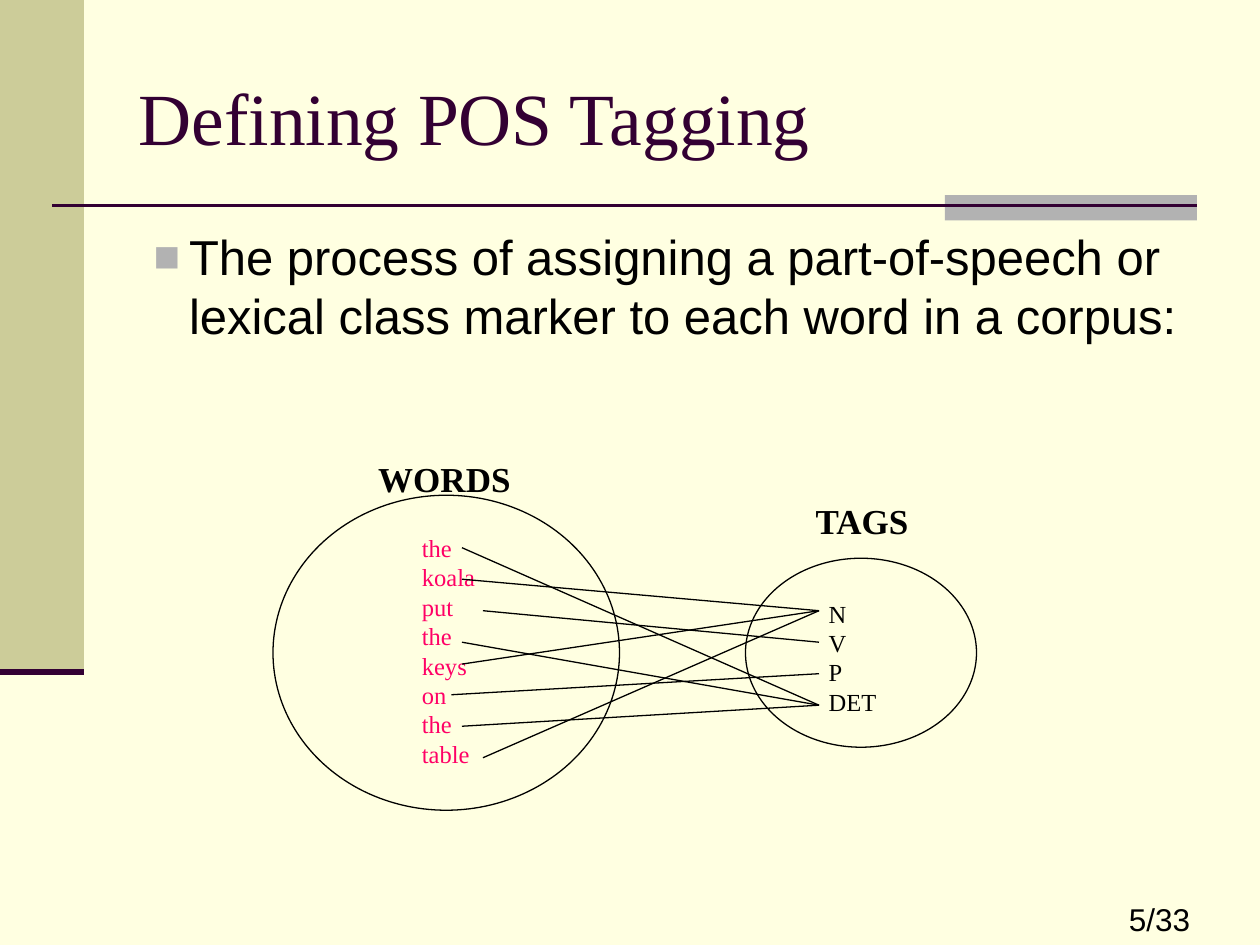
from lxml import etree
from pptx import Presentation
from pptx.dml.color import RGBColor
from pptx.enum.shapes import MSO_CONNECTOR, MSO_SHAPE
from pptx.enum.text import MSO_ANCHOR, MSO_AUTO_SIZE, PP_ALIGN
from pptx.oxml.ns import qn
from pptx.util import Pt

SERIF, SANS = "Times New Roman", "Arial"
PLUM, BLACK, GRAY, PINK = "330033", "000000", "B2B2B2", "FF0066"

# Each word with its tag, and the left end and height of its line
WORDS = [
    ("the", "DET", 108, 55),
    ("koala", "N", 108, 73),
    ("put", "V", 120, 91),
    ("the", "DET", 108, 109),
    ("keys", "N", 108, 121.5),
    ("on", "P", 102, 139),
    ("the", "DET", 108, 157),
    ("table", "N", 120, 175),
]
TAGS = ["N", "V", "P", "DET"]


def color(hex_string):
    return RGBColor.from_string(hex_string)


def place(shape, left, top, width, height):
    shape.left, shape.top = Pt(left), Pt(top)
    shape.width, shape.height = Pt(width), Pt(height)


def style_text(frame, font, size, ink, bold=False):
    for paragraph in frame.paragraphs:
        paragraph.alignment = PP_ALIGN.LEFT
        for run in paragraph.runs:
            run.font.name, run.font.size, run.font.bold = font, Pt(size), bold
            run.font.color.rgb = color(ink)


def add_label(slide, box, text, font, size, ink, bold=False, wrap=False):
    frame = slide.shapes.add_textbox(*map(Pt, box)).text_frame
    frame.word_wrap = wrap
    frame.text = text
    style_text(frame, font, size, ink, bold)


def add_shape(slide, kind, box, fill=None, line=None):
    shape = slide.shapes.add_shape(kind, *map(Pt, box))
    shape.shadow.inherit = False
    if fill:
        shape.fill.solid()
        shape.fill.fore_color.rgb = color(fill)
    else:
        shape.fill.background()
    if line:
        shape.line.color.rgb = color(line)
        shape.line.width = Pt(0.75)
    else:
        shape.line.fill.background()


def add_line(slide, start, end, ink, width):
    line = slide.shapes.add_connector(
        MSO_CONNECTOR.STRAIGHT, *map(Pt, (*start, *end)))
    line.line.color.rgb = color(ink)
    line.line.width = Pt(width)
    etree.SubElement(line._element.spPr, qn("a:effectLst"))


def add_frame(slide, width, height):
    """Side band, title rule with its accent, and page number."""
    band_width, band_height = 48, 384
    add_shape(slide, MSO_SHAPE.RECTANGLE, (0, 0, band_width, band_height), "CCCC99")
    add_shape(slide, MSO_SHAPE.RECTANGLE, (width - 180, 111.5, 144, 14.5), GRAY)
    add_line(slide, (30, 117.5), (width - 36, 117.5), PLUM, 1.5)
    add_line(slide, (0, band_height), (band_width, band_height), PLUM, 3.5)
    add_label(slide, (width - 82, height - 29, 82, 29), "5/33",
              SANS, 18, BLACK, wrap=True)


def fill_title(title, box, text):
    place(title, *box)
    frame = title.text_frame
    frame.text = text
    frame.auto_size = MSO_AUTO_SIZE.NONE
    frame.vertical_anchor = MSO_ANCHOR.MIDDLE
    style_text(frame, SERIF, 42, PLUM)


def fill_body(body, box, text):
    place(body, *box)
    frame = body.text_frame
    frame.text = text
    frame.auto_size = MSO_AUTO_SIZE.NONE
    style_text(frame, SANS, 28, BLACK)
    paragraph = frame.paragraphs[0]
    paragraph.space_before = Pt(5.6)
    properties = paragraph._p.get_or_add_pPr()
    properties.set("marL", str(Pt(28.8)))
    properties.set("indent", str(Pt(-20.2)))
    bullet_color = etree.SubElement(properties, qn("a:buClr"))
    etree.SubElement(bullet_color, qn("a:srgbClr"), val=GRAY)
    etree.SubElement(properties, qn("a:buSzPct"), val="90000")
    etree.SubElement(properties, qn("a:buFont"), typeface=SANS)
    etree.SubElement(properties, qn("a:buChar"), char="■")


def add_mapping(slide, left, top):
    """Words and tags in two ellipses, with a line from each word to its tag."""
    def at(x, y, *size):
        return (left + x, top + y, *size)

    add_label(slide, at(78, 43, 45, 141), "\n".join(word for word, *_ in WORDS),
              SERIF, 14, PINK)
    add_shape(slide, MSO_SHAPE.OVAL, at(0, 25, 198, 180), line=BLACK)
    add_label(slide, at(53, 0, 90, 31), "WORDS", SERIF, 20, BLACK, bold=True)
    add_shape(slide, MSO_SHAPE.OVAL, at(270, 61, 132, 108), line=BLACK)
    add_label(slide, at(303, 24, 69, 31), "TAGS", SERIF, 20, BLACK, bold=True)
    add_label(slide, at(310.5, 80.5, 42, 74), "\n".join(TAGS), SERIF, 14, BLACK)
    for _, tag, x, y in WORDS:
        add_line(slide, at(x, y), at(312, 91 + 18 * TAGS.index(tag)), BLACK, 0.75)


def main():
    width, height = 720, 540
    deck = Presentation()
    deck.slide_width, deck.slide_height = Pt(width), Pt(height)
    slide = deck.slides.add_slide(deck.slide_layouts[1])
    slide.background.fill.solid()
    slide.background.fill.fore_color.rgb = color("FFFFE1")

    add_frame(slide, width, height)
    fill_title(slide.shapes.title, (72, 21.6, 612, 90), "Defining POS Tagging")
    fill_body(slide.placeholders[1], (72, 126, 612, 356.4),
              "The process of assigning a part-of-speech or lexical class "
              "marker to each word in a corpus:")
    add_mapping(slide, 156, 258)
    deck.save("out.pptx")


if __name__ == "__main__":
    main()
